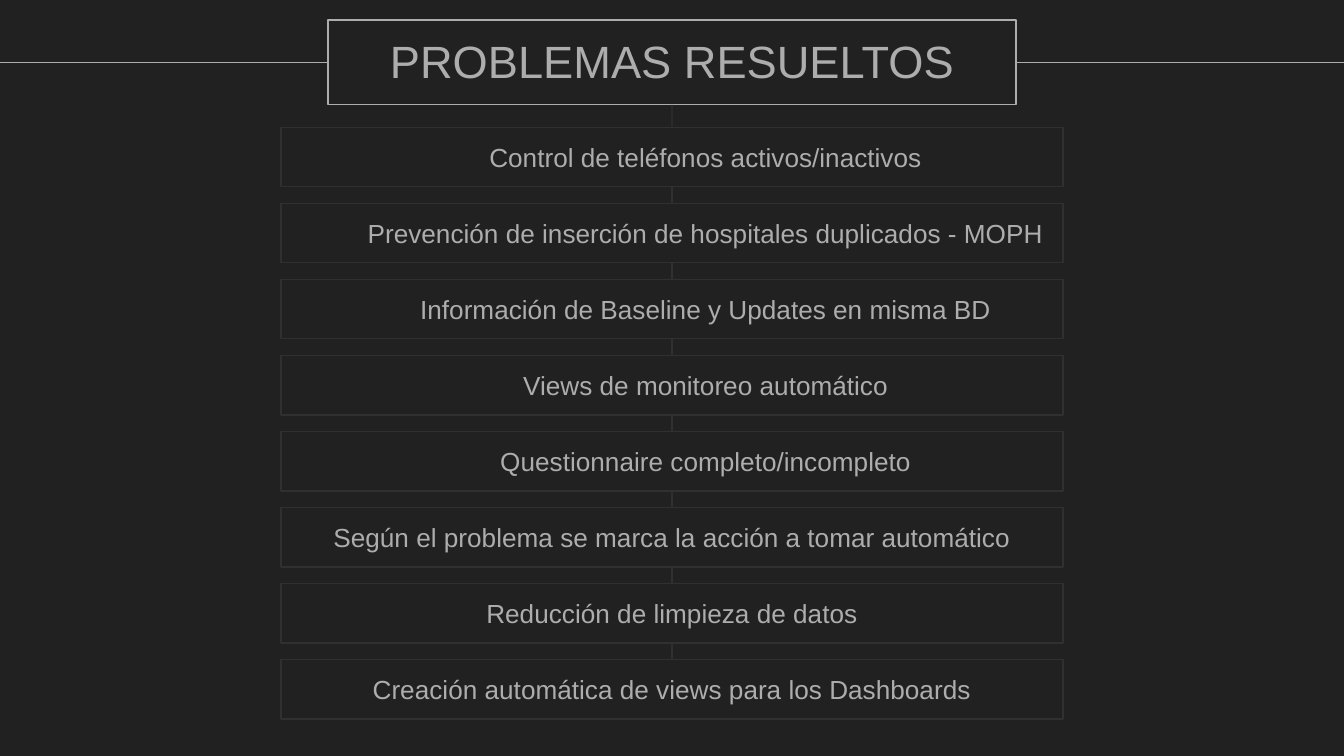
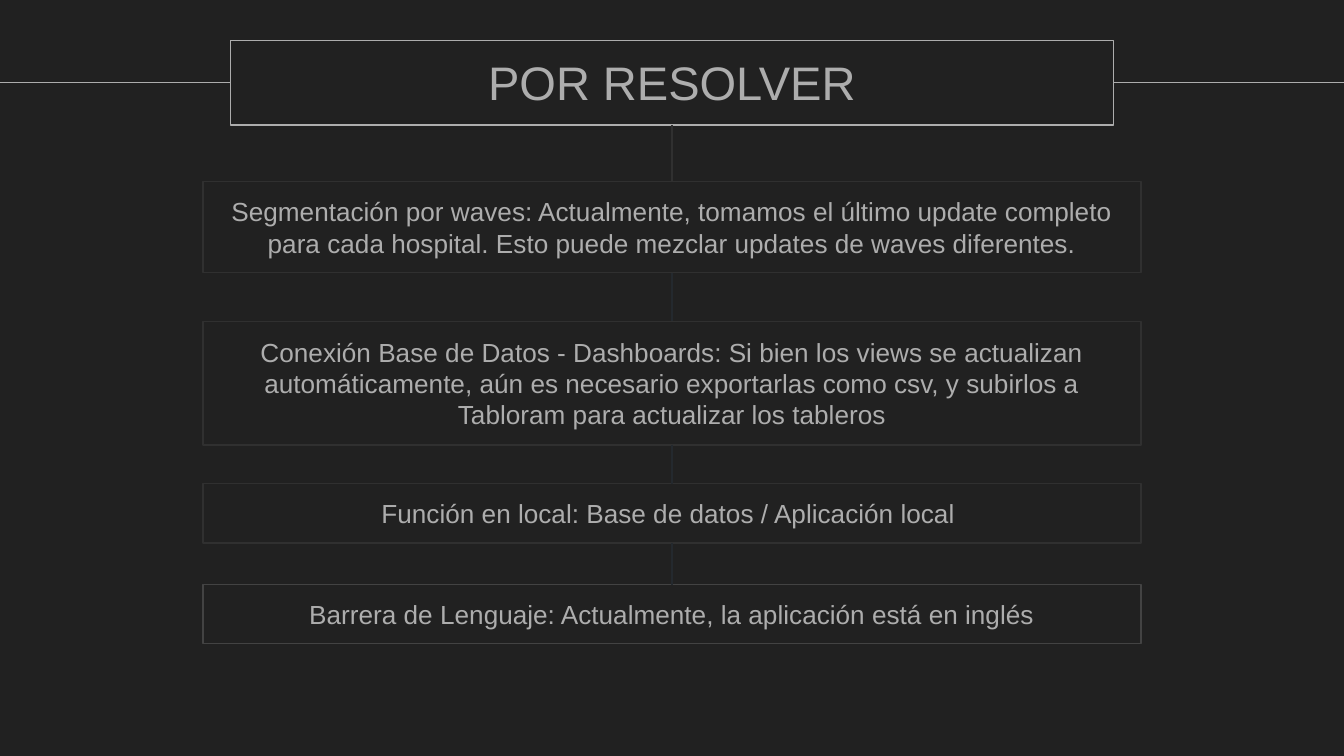
from lxml.etree import SubElement
from pptx import Presentation
from pptx.dml.color import RGBColor
from pptx.enum.shapes import MSO_CONNECTOR, MSO_SHAPE
from pptx.enum.text import MSO_ANCHOR, PP_ALIGN
from pptx.oxml.ns import qn
from pptx.util import Inches, Pt

WIDTH = 10
HEIGHT = WIDTH * 9 / 16
COLORS = {"background": "212121", "text": "ADADAD", "box": "303030",
          "last_box": "434343", "link": "24292E"}
FONT = "Arial"
BODY_SIZE = 14
TITLE_HEIGHT = 0.63
MARGIN = 0.1
LINE_HEIGHT = 0.24
FIRST_TOP, LAST_TOP = 0.95, 4.91
TOP, LEFT, BOTTOM, RIGHT = range(4)

SOLVED = [
    ("Control de teléfonos activos/inactivos", 0.5),
    ("Prevención de inserción de hospitales duplicados - MOPH", 0.5),
    ("Información de Baseline y Updates en misma BD", 0.5),
    ("Views de monitoreo automático", 0.5),
    ("Questionnaire completo/incompleto", 0.5),
    ("Según el problema se marca la acción a tomar automático", 0),
    ("Reducción de limpieza de datos", 0),
    ("Creación automática de views para los Dashboards", 0),
]
PENDING = [
    ("Segmentación por waves: Actualmente, tomamos el último update completo para cada "
     "hospital. Esto puede mezclar updates de waves diferentes.", 1.35, 2, "box"),
    ("Conexión Base de Datos - Dashboards: Si bien los views se actualizan automáticamente, "
     "aún es necesario exportarlas como csv, y subirlos a Tabloram para actualizar los "
     "tableros", 2.39, 3, "box"),
    ("Función en local: Base de datos / Aplicación local ", 3.6, 1, "box"),
    ("Barrera de Lenguaje: Actualmente, la aplicación está en inglés", 4.35, 1, "last_box"),
]
PITCH = (LAST_TOP - FIRST_TOP) / (len(SOLVED) - 1)
SLIDES = [
    {"title": "PROBLEMAS RESUELTOS", "title_top": 0.15, "title_width": 5.12,
     "title_size": 24.2, "box_width": 5.82, "link": "box",
     "boxes": [{"text": text, "indent": indent, "top": FIRST_TOP + PITCH * row}
               for row, (text, indent) in enumerate(SOLVED)]},
    {"title": "POR RESOLVER", "title_top": 0.3, "title_width": 6.57,
     "title_size": 25.2, "box_width": 6.98, "link": "link",
     "boxes": [{"text": text, "top": top, "lines": lines, "color": color}
               for text, top, lines, color in PENDING]},
]


def rgb(name):
    return RGBColor.from_string(COLORS[name])


def apply_format(target, values):
    for name, value in values.items():
        setattr(target, name, value)


def style_line(shape, color):
    shape.line.color.rgb = rgb(color)
    shape.line.width = Pt(0.75)


def add_box(slide, text, top, width, height, size, color, indent=0, anchor=MSO_ANCHOR.MIDDLE):
    shape = slide.shapes.add_shape(
        MSO_SHAPE.RECTANGLE, Inches((WIDTH - width) / 2), Inches(top),
        Inches(width), Inches(height))
    shape.shadow.inherit = False
    shape.fill.background()
    style_line(shape, color)
    frame = shape.text_frame
    margin = Inches(MARGIN)
    apply_format(frame, {"word_wrap": True, "vertical_anchor": anchor,
                         "margin_left": margin, "margin_right": margin,
                         "margin_top": margin, "margin_bottom": margin})
    paragraph = frame.paragraphs[0]
    paragraph.alignment = PP_ALIGN.CENTER
    if indent:
        paragraph._p.get_or_add_pPr().set("marL", str(Inches(indent)))
    run = paragraph.add_run()
    run.text = text
    apply_format(run.font, {"name": FONT, "size": Pt(size)})
    run.font.color.rgb = rgb("text")
    return shape


def add_line(slide, start, side, color, end=None, edge=0):
    middle = start.top + start.height // 2
    connector = slide.shapes.add_connector(
        MSO_CONNECTOR.STRAIGHT, start.left, middle, Inches(edge), middle)
    connector.begin_connect(start, side)
    if end is not None:
        connector.end_connect(end, TOP)
    style_line(connector, color)
    SubElement(connector._element.spPr, qn("a:effectLst"))


def build_slide(presentation, content):
    slide = presentation.slides.add_slide(presentation.slide_layouts[6])
    slide.background.fill.solid()
    slide.background.fill.fore_color.rgb = rgb("background")
    title = add_box(slide, content["title"], content["title_top"], content["title_width"],
                    TITLE_HEIGHT, content["title_size"], "text", anchor=MSO_ANCHOR.TOP)
    boxes = [add_box(slide, box["text"], box["top"], content["box_width"],
                     2 * MARGIN + LINE_HEIGHT * box.get("lines", 1), BODY_SIZE,
                     box.get("color", "box"), box.get("indent", 0))
             for box in content["boxes"]]
    add_line(slide, title, LEFT, "text", edge=0)
    add_line(slide, title, RIGHT, "text", edge=WIDTH)
    add_line(slide, title, BOTTOM, "box", end=boxes[0])
    for upper, lower in zip(boxes, boxes[1:]):
        add_line(slide, upper, BOTTOM, content["link"], end=lower)


def main():
    presentation = Presentation()
    apply_format(presentation, {"slide_width": Inches(WIDTH), "slide_height": Inches(HEIGHT)})
    for content in SLIDES:
        build_slide(presentation, content)
    presentation.save("out.pptx")


if __name__ == "__main__":
    main()
